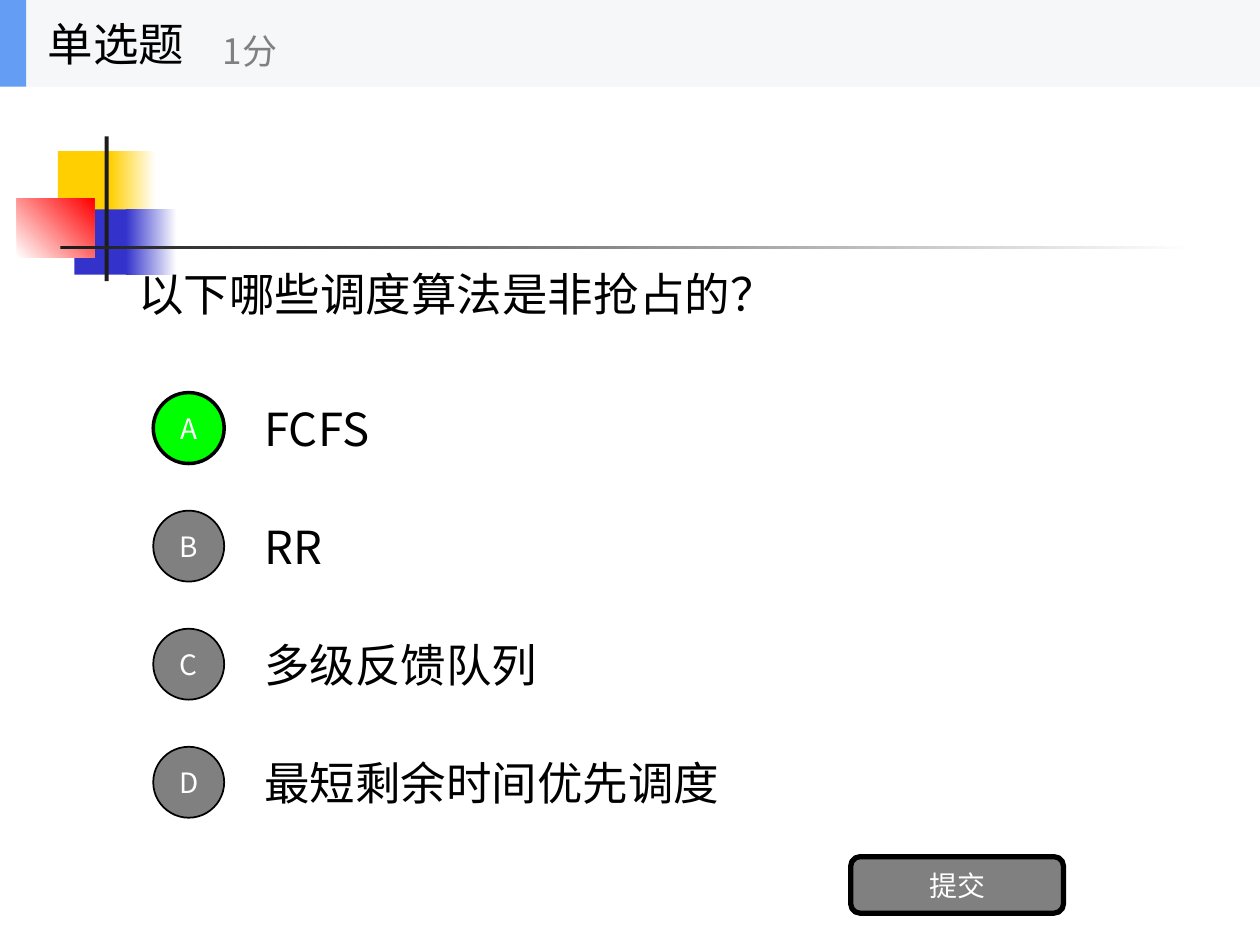
from dataclasses import dataclass

import pptx
import pptx.dml.color
import pptx.enum.shapes
import pptx.enum.text
import pptx.oxml.ns
import pptx.util
from lxml import etree

Cm = pptx.util.Cm
Pt = pptx.util.Pt
RGB = pptx.dml.color.RGBColor.from_string
Preset = pptx.enum.shapes.MSO_SHAPE
Align = pptx.enum.text.PP_ALIGN


@dataclass(frozen=True)
class Theme:
    font: str = "Noto Sans CJK SC"
    body_size: int = 26
    score_size: int = 20
    button_size: int = 16
    black: str = "000000"
    white: str = "FFFFFF"
    gray: str = "808080"
    chosen: str = "00FF00"
    header: str = "F6F7F8"
    accent: str = "639EF4"
    yellow: str = "FFCF01"
    blue: str = "3333CC"
    red: str = "FF0000"
    rule: str = "1C1C1C"


theme = Theme()


def add_block(shapes, box, start, end=None, angle=0, preset=Preset.RECTANGLE, outline=0):
    """Draw a preset shape; an end colour turns its fill into a gradient."""
    block = shapes.add_shape(preset, *map(Cm, box))
    block.shadow.inherit = False
    if end:
        block.fill.gradient()
        block.fill.gradient_angle = angle
        for stop, color in zip(block.fill.gradient_stops, (start, end)):
            stop.color.rgb = RGB(color)
    else:
        block.fill.solid()
        block.fill.fore_color.rgb = RGB(start)
    if outline:
        block.line.color.rgb = RGB(theme.black)
        block.line.width = Pt(outline)
    else:
        block.line.fill.background()
    return block


def write(holder, text, size=theme.body_size, color=theme.black, align=Align.LEFT, wrap=True):
    frame = holder.text_frame
    frame.word_wrap = wrap
    frame.vertical_anchor = pptx.enum.text.MSO_ANCHOR.MIDDLE
    paragraph = frame.paragraphs[0]
    paragraph.alignment = align
    run = paragraph.add_run()
    run.text = text
    run.font.size = Pt(size)
    run.font.name = theme.font
    run.font.color.rgb = RGB(color)
    east_asian = etree.SubElement(run.font._element, pptx.oxml.ns.qn("a:ea"))
    east_asian.set("typeface", theme.font)


deck = pptx.Presentation()
deck.slide_width, deck.slide_height = Cm(25.4), Cm(19.05)
slide = deck.slides.add_slide(deck.slide_layouts[6])
shapes = slide.shapes

# Corner ornament with its rules
for box, start, end, angle in [
    ((1.17, 3.05, 1.22, 1.32), theme.yellow, None, 0),
    ((2.22, 3.05, 0.92, 1.32), theme.yellow, theme.white, 0),
    ((1.5, 4.22, 1.17, 1.32), theme.blue, None, 0),
    ((2.54, 4.22, 1.02, 1.32), theme.blue, theme.white, 0),
    ((0.34, 4.01, 1.56, 1.18), theme.white, theme.red, 45),
    ((2.11, 2.75, 0.08, 2.92), theme.rule, None, 0),
    ((1.22, 4.95, 22.86, 0.08), theme.rule, theme.white, 0),
]:
    add_block(shapes, box, start, end, angle)

# Question and options
question = shapes.add_textbox(Cm(2.54), Cm(2.95), Cm(20.32), Cm(5.94))
write(question, "以下哪些调度算法是非抢占的？")

answer = "A"
first_middle, row_pitch = 8.63, 2.38
option_height, badge_size = 1.78, 1.43
button_format = dict(size=theme.button_size, color=theme.white, align=Align.CENTER, wrap=False)
options = ["FCFS", "RR", "多级反馈队列", "最短剩余时间优先调度"]
for row, (letter, option) in enumerate(zip("ABCD", options)):
    middle = first_middle + row * row_pitch
    label = shapes.add_textbox(
        Cm(5.08), Cm(middle - option_height / 2), Cm(17.78), Cm(option_height))
    write(label, option)
    badge = add_block(
        shapes, (3.09, middle - badge_size / 2, badge_size, badge_size),
        theme.chosen if letter == answer else theme.gray,
        preset=Preset.OVAL, outline=2 if letter == answer else 1)
    write(badge, letter, **button_format)

submit = add_block(shapes, (17.15, 17.27, 4.29, 1.14), theme.gray,
                   preset=Preset.ROUNDED_RECTANGLE, outline=3)
write(submit, "提交", **button_format)

# Header bar
header = shapes.add_group_shape().shapes
add_block(header, (0, 0, 25.4, 1.75), theme.header)
add_block(header, (0, 0, 0.53, 1.75), theme.accent)
write(header.add_textbox(Cm(0.71), Cm(0), Cm(5.28), Cm(1.75)), "单选题")
write(header.add_textbox(Cm(4.24), Cm(0.3), Cm(6.35), Cm(1.42)), "1分",
      size=theme.score_size, color=theme.gray)

deck.save("out.pptx")
